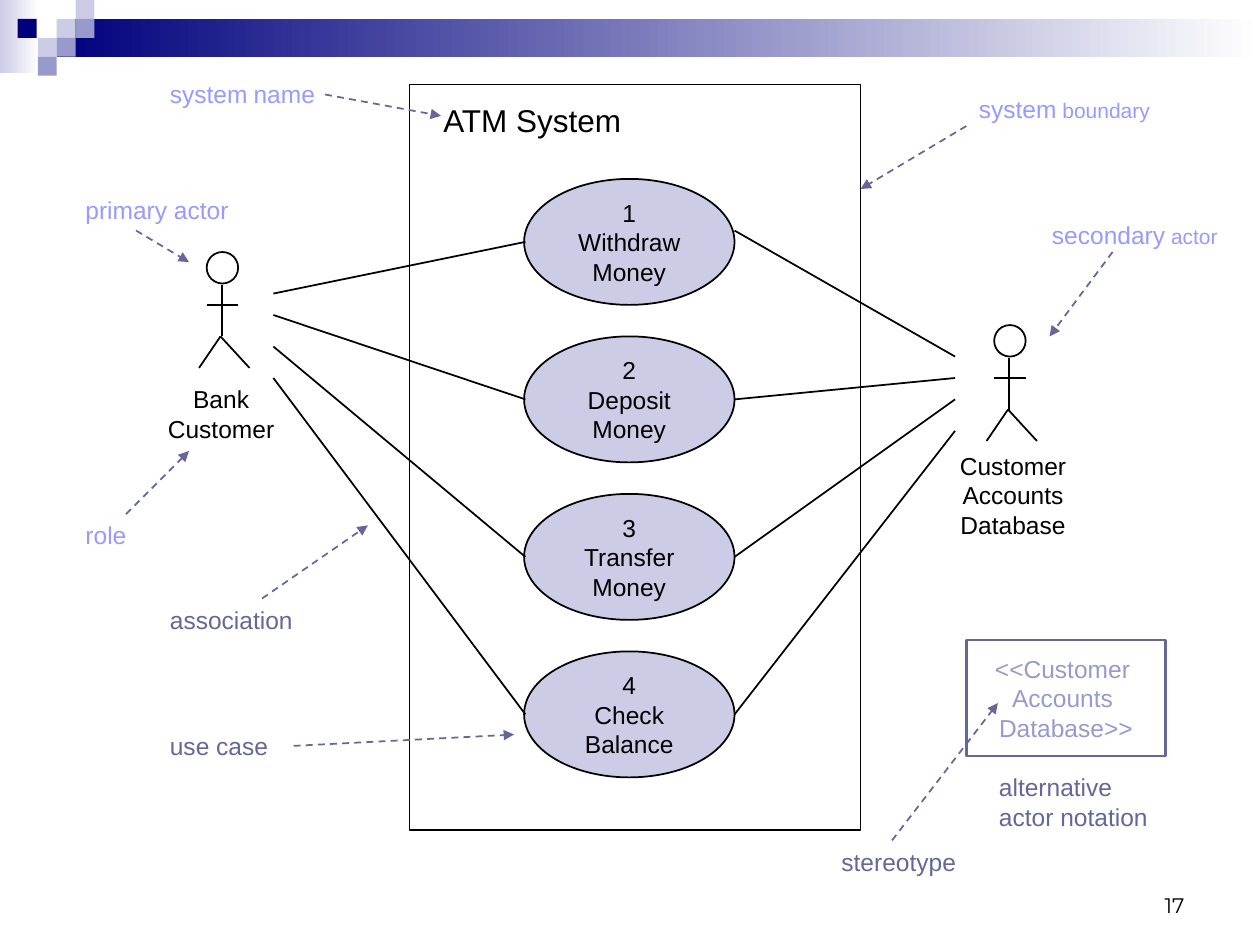
import pptx
import pptx.util
import pptx.dml.color
import pptx.enum.dml
import pptx.enum.shapes
import pptx.enum.text
from lxml import etree

SHAPE = pptx.enum.shapes.MSO_SHAPE
ALIGN = pptx.enum.text.PP_ALIGN
ANCHOR = pptx.enum.text.MSO_ANCHOR
BLACK, NAVY, PALE, MID = "000000", "00007D", "CCCCE6", "9999CC"
LILAC, SLATE, WHITE = "9999FF", "666699", "FFFFFF"

# Content; all places are on an inch grid
bands = [(0, 0, 0.31, 0.58, PALE), (0.45, 0.15, 9.55, 0.3, NAVY)]
tiles = [(0.45, 0.15, PALE), (0.6, 0, PALE), (0.6, 0.15, MID),
         (0.3, 0.3, PALE), (0.14, 0.15, NAVY), (0.45, 0.3, MID),
         (0.3, 0.45, MID)]
cases = [["1", "Withdraw", "Money"], ["2", "Deposit", "Money"],
         ["3", "Transfer", "Money"], ["4", "Check", "Balance"]]
actors = [(1.64, 2), (7.89, 2.58)]
names = [("Bank Customer", (1.17, 3, 1.17, 0.57)),
         ("Customer Accounts Database", (7.5, 3.53, 1.08, 0.8))]
# Heights where each use case meets: customer, left side, right side, database
links = [(2.33, 1.92, 1.83, 2.83), (2.5, 3.17, 3.17, 3),
         (2.75, 4.42, 4.42, 3.17), (3, 5.67, 5.67, 3.42)]
# Runs, colour, box, pointer
notes = [
    ([("primary actor", 14)], LILAC, (0.58, 1.5, 1.5, 0.34),
     (1.08, 1.83, 1.5, 2.08)),
    ([("role", 14)], LILAC, (0.58, 4.08, 0.58, 0.34),
     (1, 4.08, 1.5, 3.58)),
    ([("system", 14), (" ", 12), ("name", 14)], LILAC,
     (1.25, 0.58, 1.42, 0.34), (2.58, 0.75, 3.5, 0.92)),
    ([("system", 14), (" boundary", 12)], LILAC,
     (7.67, 0.7, 1.67, 0.34), (7.67, 1, 6.83, 1.5)),
    ([("secondary", 14), (" actor", 12)], LILAC,
     (8.25, 1.7, 1.58, 0.34), (8.83, 2, 8.33, 2.67)),
    ([("use case", 14)], SLATE, (1.25, 5.75, 1, 0.34),
     (2.33, 5.92, 4.08, 5.83)),
    ([("alternative actor notation", 14)], SLATE,
     (7.83, 6.08, 1.42, 0.57), None),
    ([("stereotype", 14)], SLATE, (6.58, 6.67, 1.17, 0.34),
     (7.08, 6.67, 7.92, 5.58)),
    ([("association", 14)], SLATE, (1.25, 4.75, 1.25, 0.34),
     (2.08, 4.75, 2.92, 4.17)),
]

deck = pptx.Presentation()


def grid(*nums):
    return [pptx.util.Cm(n * 2.54) for n in nums]


def color(text):
    return pptx.dml.color.RGBColor.from_string(text)


deck.slide_width, deck.slide_height = grid(10, 7.5)
slide = deck.slides.add_slide(deck.slide_layouts[6])


def draw(kind, box, fill=None, line=None, width=1):
    shape = slide.shapes.add_shape(kind, *grid(*box))
    shape.shadow.inherit = False
    if fill:
        shape.fill.solid()
        shape.fill.fore_color.rgb = color(fill)
    else:
        shape.fill.background()
    if line:
        shape.line.color.rgb = color(line)
        shape.line.width = pptx.util.Pt(width)
    else:
        shape.line.fill.background()
    return shape


def join(ends, hue=BLACK, arrow=False):
    line = slide.shapes.add_connector(
        pptx.enum.shapes.MSO_CONNECTOR.STRAIGHT, *grid(*ends))
    line.line.color.rgb = color(hue)
    line.line.width = pptx.util.Pt(1)
    props = line.element.spPr
    space = "{" + props.nsmap["a"] + "}"
    if arrow:
        line.line.dash_style = pptx.enum.dml.MSO_LINE.DASH
        etree.SubElement(props.find(space + "ln"), space + "tailEnd",
                         type="triangle")
    etree.SubElement(props, space + "effectLst")


def write(shape, paras, hue=BLACK, align=ALIGN.LEFT, face="Arial",
          wrap=True, anchor=ANCHOR.TOP):
    frame = shape.text_frame
    frame.word_wrap = wrap
    frame.vertical_anchor = anchor
    for i, runs in enumerate(paras):
        para = frame.add_paragraph() if i else frame.paragraphs[0]
        para.alignment = align
        for text, size in runs:
            run = para.add_run()
            run.text = text
            run.font.size = pptx.util.Pt(size)
            run.font.name = face
            run.font.color.rgb = color(hue)


def label(box, runs, **style):
    write(slide.shapes.add_textbox(*grid(*box)), [runs], **style)


def fill_in(shape, lines, hue=BLACK):
    write(shape, [[(text, 14)] for text in lines], hue, ALIGN.CENTER,
          wrap=False, anchor=ANCHOR.MIDDLE)


# Header band and tiles
for *box, hue in bands:
    band = draw(SHAPE.RECTANGLE, box)
    band.fill.gradient()
    band.fill.gradient_angle = 180
    for stop, tone in zip(band.fill.gradient_stops, (WHITE, hue)):
        stop.color.rgb = color(tone)
for x, y, hue in tiles:
    draw(SHAPE.RECTANGLE, (x, y, 0.15, 0.15), hue)

# Use cases inside the system boundary
for i, lines in enumerate(cases):
    oval = draw(SHAPE.OVAL, (4.16, 1.42 + 1.25 * i, 1.67, 1), PALE, BLACK)
    fill_in(oval, lines)
draw(SHAPE.RECTANGLE, (3.25, 0.67, 3.58, 5.92), line=BLACK)
label((3.42, 0.75, 1.67, 0.4), [("ATM System", 18)])

# Actors as stick figures
for x, y in actors:
    draw(SHAPE.OVAL, (x, y, 0.25, 0.25), line=BLACK)
    hip = y + 0.67
    join((x + 0.12, y + 0.26, x + 0.12, hip))
    for foot in (0.34, -0.06):
        join((x + 0.11, hip, x + foot, y + 0.92))
    join((x, y + 0.42, x + 0.25, y + 0.42))
for name, box in names:
    label(box, [(name, 14)], align=ALIGN.CENTER)

# Associations
for start, left, right, end in links:
    join((2.17, start, 4.17, left))
    join((5.83, right, 7.58, end))

# Stereotype box, notes and their pointers
card = draw(SHAPE.RECTANGLE, (7.67, 5.08, 1.58, 0.92), line=SLATE, width=1.5)
fill_in(card, ["<<Customer ", "Accounts ", "Database>>"], MID)
for runs, hue, box, ends in notes:
    label(box, runs, hue=hue)
    if ends:
        join(ends, SLATE, arrow=True)

# Slide number
label((7.17, 6.83, 2.33, 0.5), [("17", 12)], align=ALIGN.RIGHT,
      face="Montserrat", anchor=ANCHOR.BOTTOM)

deck.save("out.pptx")
